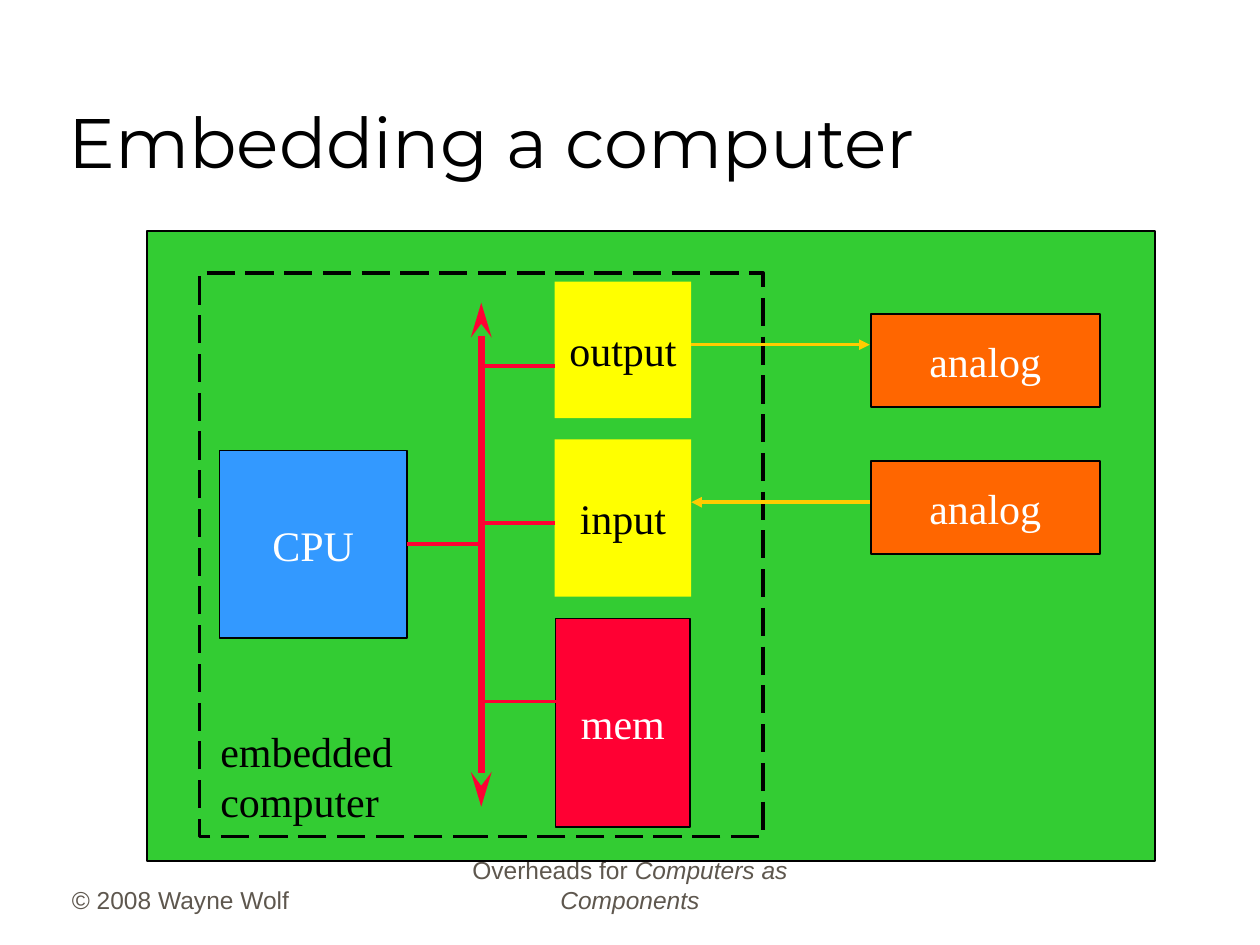
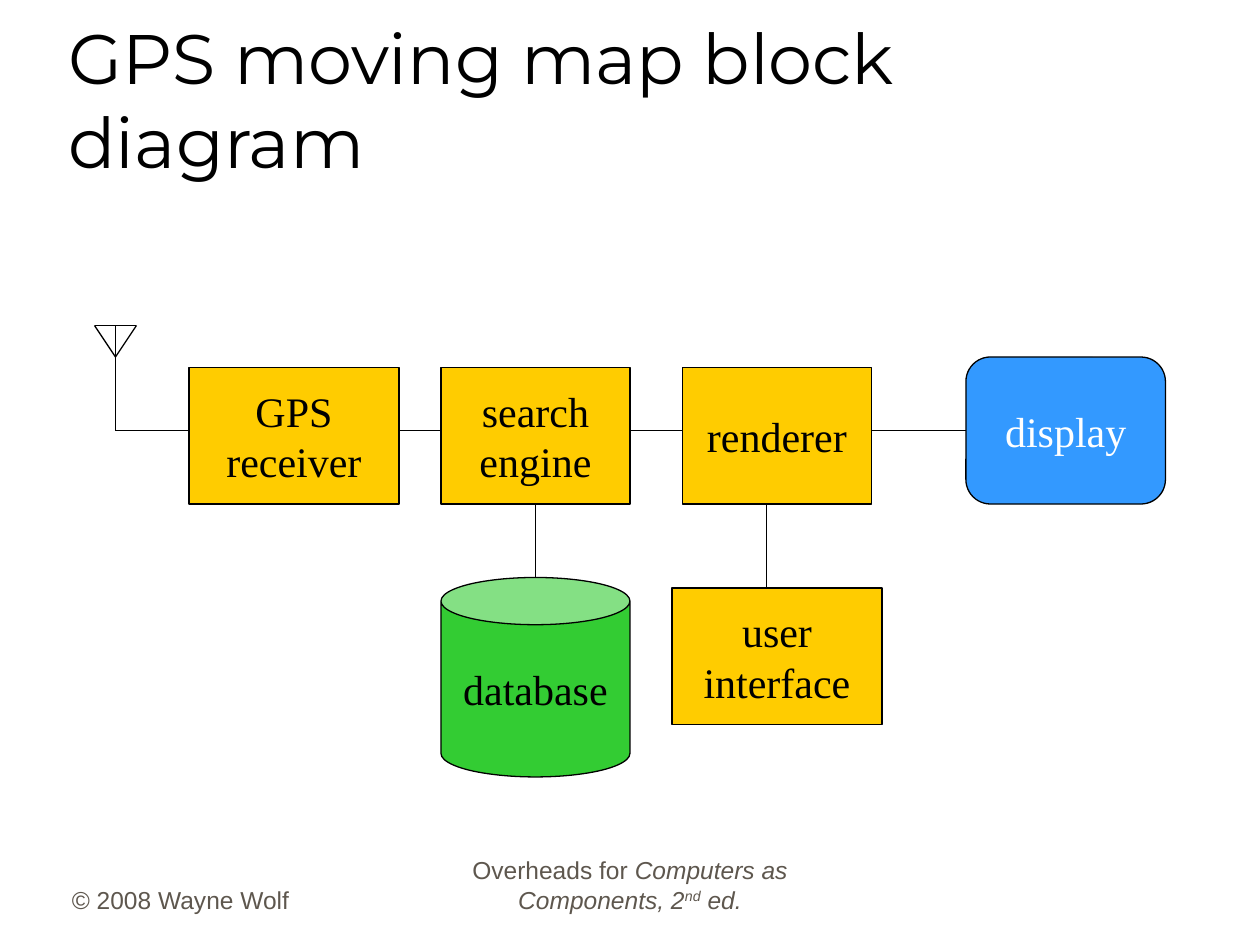
from lxml import etree
from pptx import Presentation
from pptx.dml.color import RGBColor
from pptx.enum import dml, shapes, text
from pptx.oxml.ns import qn
from pptx.util import Pt

BLACK, WHITE, GREY = "000000", "FFFFFF", "5E574E"
GREEN, BLUE, RED, YELLOW = "33CC33", "3399FF", "FF0033", "FFFF00"
ORANGE, GOLD = "FF6600", "FFCC00"
BODY, HEADING, SMALL = "Times New Roman", "Montserrat", "Arial"
RECT = shapes.MSO_SHAPE.RECTANGLE
ROUND = shapes.MSO_SHAPE.ROUNDED_RECTANGLE
CAN = shapes.MSO_SHAPE.CAN
LEFT, CENTER = text.PP_ALIGN.LEFT, text.PP_ALIGN.CENTER
MIDDLE, BOTTOM = text.MSO_ANCHOR.MIDDLE, text.MSO_ANCHOR.BOTTOM

# Content: footers as (text, format) runs
COPYRIGHT = [("© 2008 Wayne Wolf", {})]
BOOK = ("Overheads for ", {})
ITALIC = {"italic": True}
FOOTERS = {
    "embedding": [BOOK, ("Computers as Components", ITALIC)],
    "gps": [BOOK, ("Computers as Components, 2", ITALIC),
            ("nd", {"italic": True, "raised": True}), (" ed.", ITALIC)],
}

# Content: blocks as name: (lines, left, top, width, height, fill, text, outline)
COMPUTER_BLOCKS = {
    "cpu": (["CPU"], 125.5, 257.5, 107, 107, BLUE, WHITE, 1),
    "mem": (["mem"], 317.5, 353.5, 77, 119, RED, WHITE, 1),
    "input": (["input"], 317, 251, 78, 90, YELLOW, BLACK, 0),
    "output": (["output"], 317, 161, 78, 78, YELLOW, BLACK, 0),
}
ANALOG_TOPS = [179.5, 263.5]
BUS_X, BUS_TOP, BUS_BOTTOM = 275, 173, 461
BUS_LINKS = {"output": 209, "input": 299, "mem": 401}

ROW_TOP, ROW_H = 210, 78
GPS_BLOCKS = {
    "receiver": (["GPS", "receiver"], 108, ROW_TOP, 120, ROW_H),
    "search": (["search", "engine"], 252, ROW_TOP, 108, ROW_H),
    "renderer": (["renderer"], 390, ROW_TOP, 108, ROW_H),
    "interface": (["user", "interface"], 384, 336, 120, ROW_H),
}
ANTENNA_X, ANTENNA_TOP, ANTENNA_TIP, SIGNAL_Y = 66, 186, 204, 246


def rgb(value):
    return RGBColor.from_string(value)


def set_line(line, color, width, dash=None):
    line.color.rgb = rgb(color)
    line.width = Pt(width)
    if dash:
        line.dash_style = dash


def write(tf, paragraphs, font, size, color, align=LEFT, anchor=MIDDLE, wrap=False):
    tf.word_wrap = wrap
    tf.vertical_anchor = anchor
    for i, runs in enumerate(paragraphs):
        p = tf.paragraphs[0] if i == 0 else tf.add_paragraph()
        p.alignment = align
        for words, formats in runs:
            r = p.add_run()
            r.text = words
            r.font.color.rgb = rgb(color)
            values = {"name": font, "size": Pt(size), **formats}
            if values.pop("raised", False):
                r.font._element.set("baseline", "30000")
            for key, value in values.items():
                setattr(r.font, key, value)


def plain(lines):
    return [[(line, {})] for line in lines]


def block(s, lines, x, y, w, h, fill=GOLD, color=BLACK, outline=0.75,
          kind=RECT, dash=None):
    sp = s.shapes.add_shape(kind, Pt(x), Pt(y), Pt(w), Pt(h))
    sp.shadow.inherit = False
    if fill:
        sp.fill.solid()
        sp.fill.fore_color.rgb = rgb(fill)
    else:
        sp.fill.background()
    if outline:
        set_line(sp.line, BLACK, outline, dash)
    else:
        sp.line.fill.background()
    write(sp.text_frame, plain(lines), BODY, 24, color, CENTER)
    return sp


def connect(s, x1, y1, x2, y2, color=BLACK, width=0.75, **ends):
    """Draw a line; ends maps headEnd or tailEnd to (type, length)."""
    c = s.shapes.add_connector(shapes.MSO_CONNECTOR.STRAIGHT,
                               Pt(x1), Pt(y1), Pt(x2), Pt(y2))
    set_line(c.line, color, width)
    ln = c.line._get_or_add_ln()
    for tag, (kind, length) in ends.items():
        etree.SubElement(ln, qn("a:" + tag), type=kind, w="med", len=length)
    etree.SubElement(c._element.spPr, qn("a:effectLst"))
    return c


def text_box(s, x, y, w, h, *args, **kwargs):
    tf = s.shapes.add_textbox(Pt(x), Pt(y), Pt(w), Pt(h)).text_frame
    write(tf, *args, **kwargs)
    return tf


def new_slide(prs, title, footer):
    s = prs.slides.add_slide(prs.slide_layouts[5])
    # Footers
    for x, w, runs, align in ((34, 150, COPYRIGHT, LEFT), (246, 228, footer, CENTER)):
        text_box(s, x, 490, w, 36, [runs], SMALL, 14, GREY, align, BOTTOM, True)
    # Title
    sp = s.shapes.title
    sp.left, sp.top, sp.width, sp.height = Pt(32), Pt(18), Pt(612), Pt(90)
    write(sp.text_frame, plain([title]), HEADING, 40, BLACK, LEFT, BOTTOM, True)
    sp.text_frame.auto_size = text.MSO_AUTO_SIZE.NONE
    return s


def embedding_slide(prs):
    s = new_slide(prs, "Embedding a computer", FOOTERS["embedding"])
    block(s, [], 84, 132, 576, 360, GREEN)
    blocks = {name: block(s, *data) for name, data in COMPUTER_BLOCKS.items()}

    # Bus and its links
    tip = ("stealth", "lg")
    connect(s, BUS_X, BUS_TOP, BUS_X, BUS_BOTTOM, RED, 4, headEnd=tip, tailEnd=tip)
    cpu_link = connect(s, 233, 311, BUS_X, 311, RED, 2)
    cpu_link.begin_connect(blocks["cpu"], 3)
    for name, y in BUS_LINKS.items():
        connect(s, BUS_X, y, COMPUTER_BLOCKS[name][1], y, RED, 2)

    # Boundary of the embedded computer
    block(s, [], 114, 156, 322, 322, None, outline=2,
          dash=dml.MSO_LINE.LONG_DASH)

    # Analog side
    tip = ("triangle", "med")
    connect(s, 395, 197, 497, 197, GOLD, 2, tailEnd=tip)
    connect(s, 497, 287, 395, 287, GOLD, 2, tailEnd=tip)
    for top in ANALOG_TOPS:
        block(s, ["analog"], 497.5, top, 131, 53, ORANGE, WHITE, 1)
    tf = text_box(s, 118.8, 411, 113, 65, plain(["embedded", "computer"]),
                  BODY, 24, BLACK, anchor=text.MSO_ANCHOR.TOP)
    tf.auto_size = text.MSO_AUTO_SIZE.SHAPE_TO_FIT_TEXT


def gps_slide(prs):
    s = new_slide(prs, "GPS moving map block diagram", FOOTERS["gps"])

    # Signal path, behind the blocks
    display = block(s, ["display"], 552, 204, 114, 84, BLUE, WHITE, kind=ROUND)
    signal = connect(s, ANTENNA_X, SIGNAL_Y, 552, SIGNAL_Y)
    signal.end_connect(display, 1)

    # Blocks
    blocks = {name: block(s, *data) for name, data in GPS_BLOCKS.items()}
    block(s, ["database"], 252, 330, 108, 114, GREEN, kind=CAN)

    # Antenna
    left, right = ANTENNA_X - 12, ANTENNA_X + 12
    connect(s, ANTENNA_X, ANTENNA_TOP, ANTENNA_X, SIGNAL_Y)
    connect(s, left, ANTENNA_TOP, right, ANTENNA_TOP)
    for x in (left, right):
        connect(s, x, ANTENNA_TOP, ANTENNA_X, ANTENNA_TIP)

    # Links to the lower row
    connect(s, 438, ROW_TOP + ROW_H, 438, 336)
    database_link = connect(s, 306, ROW_TOP + ROW_H, 306, 330)
    database_link.begin_connect(blocks["search"], 2)


def main():
    prs = Presentation()
    prs.slide_width, prs.slide_height = Pt(720), Pt(540)
    embedding_slide(prs)
    gps_slide(prs)
    prs.save("out.pptx")


if __name__ == "__main__":
    main()
